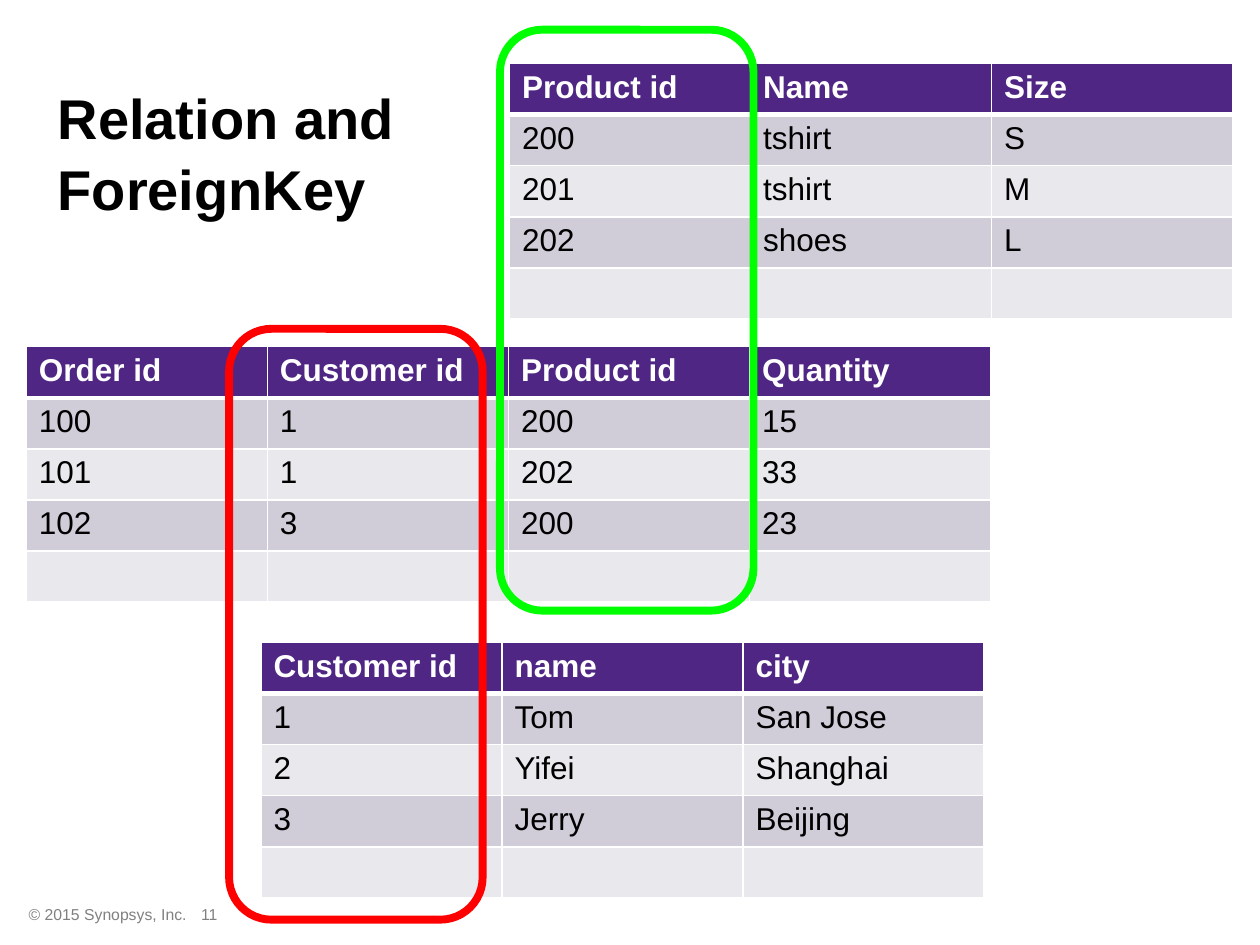
from lxml.etree import SubElement
from pptx import Presentation
from pptx.dml.color import RGBColor
from pptx.enum.shapes import MSO_SHAPE as Shape
from pptx.enum.text import MSO_ANCHOR as Anchor, MSO_AUTO_SIZE as AutoSize, PP_ALIGN as Align
from pptx.oxml.ns import qn
from pptx.util import Cm, Pt

FONT = "Arial"
COLUMN_WIDTH = 4.86
ROW_HEIGHT = 1.03
WHITE, BLACK, GREY, PURPLE = "FFFFFF", "000000", "808080", "4F2683"
BANDS = ("E9E8ED", "D0CDD9")

PRODUCTS = [("Product id", "Name", "Size"), ("200", "tshirt", "S"),
            ("201", "tshirt", "M"), ("202", "shoes", "L"), ("", "", "")]
ORDERS = [("Order id", "Customer id", "Product id", "Quantity"),
          ("100", "1", "200", "15"), ("101", "1", "202", "33"),
          ("102", "3", "200", "23"), ("", "", "", "")]
CUSTOMERS = [("Customer id", "name", "city"), ("1", "Tom", "San Jose"),
             ("2", "Yifei", "Shanghai"), ("3", "Jerry", "Beijing"), ("", "", "")]


def color(value):
    return RGBColor.from_string(value)


def format_text(text_frame, size, text_color, bold=False, align=Align.LEFT):
    for paragraph in text_frame.paragraphs:
        paragraph.alignment = align
        font = paragraph.font
        font.name, font.size, font.bold = FONT, Pt(size), bold
        font.color.rgb = color(text_color)


def place(shape, left, top, width, height):
    shape.left, shape.top = Cm(left), Cm(top)
    shape.width, shape.height = Cm(width), Cm(height)


def add_title(slide, text, *box):
    title = slide.shapes.title
    place(title, *box)
    frame = title.text_frame
    frame.text = text
    frame.word_wrap = True
    frame.auto_size = AutoSize.NONE
    frame.vertical_anchor = Anchor.MIDDLE
    frame.paragraphs[0].line_spacing = 1.05
    format_text(frame, 32, BLACK, bold=True)


def add_footer_text(slide, text, align, left, top, width, height):
    box = slide.shapes.add_textbox(Cm(left), Cm(top), Cm(width), Cm(height))
    frame = box.text_frame
    frame.text = text
    frame.word_wrap = True
    format_text(frame, 9, GREY, align=align)


def add_footer(slide, left, top, height):
    add_footer_text(slide, "© 2015 Synopsys, Inc.", Align.LEFT, left, top, 7.82, height)
    add_footer_text(slide, "11", Align.CENTER, left + 3, top, 1.78, height)


def set_borders(cell, top, bottom):
    properties = cell._tc.get_or_add_tcPr()
    for side, width in (("L", 1), ("R", 1), ("T", top), ("B", bottom)):
        line = SubElement(properties, qn(f"a:ln{side}"), w=str(Pt(width)))
        fill = SubElement(line, qn("a:solidFill"))
        SubElement(fill, qn("a:srgbClr"), val=WHITE)


def add_relation(slide, rows, left, top):
    column_count = len(rows[0])
    table = slide.shapes.add_table(
        len(rows), column_count, Cm(left), Cm(top),
        Cm(COLUMN_WIDTH * column_count), Cm(ROW_HEIGHT * len(rows))).table
    for column in table.columns:
        column.width = Cm(COLUMN_WIDTH)
    for index, values in enumerate(rows):
        header = index == 0
        table.rows[index].height = Cm(ROW_HEIGHT)
        for cell, value in zip(table.rows[index].cells, values):
            cell.text = value
            set_borders(cell, top=3 if index == 1 else 1, bottom=3 if header else 1)
            cell.fill.solid()
            cell.fill.fore_color.rgb = color(PURPLE if header else BANDS[index % 2])
            format_text(cell.text_frame, 18, WHITE if header else BLACK, bold=header)


def add_key_outline(slide, line_color, left, top, width, height):
    outline = slide.shapes.add_shape(
        Shape.ROUNDED_RECTANGLE, Cm(left), Cm(top), Cm(width), Cm(height))
    outline.shadow.inherit = False
    outline.fill.background()
    outline.line.color.rgb = color(line_color)
    outline.line.width = Pt(4.5)


def main():
    presentation = Presentation()
    presentation.slide_width, presentation.slide_height = Cm(25.4), Cm(19.05)
    slide = presentation.slides.add_slide(presentation.slide_layouts[5])
    add_footer(slide, 0.33, 18.11, 0.64)
    add_title(slide, "Relation and ForeignKey", 0.91, 1.45, 8.71, 3.18)
    add_relation(slide, CUSTOMERS, 5.26, 12.95)
    add_relation(slide, PRODUCTS, 10.27, 1.28)
    add_relation(slide, ORDERS, 0.53, 6.99)
    add_key_outline(slide, "00FF00", 10.08, 0.6, 5.11, 11.71)
    add_key_outline(slide, "FF0000", 4.62, 6.63, 5.11, 11.91)
    presentation.save("out.pptx")


if __name__ == "__main__":
    main()
